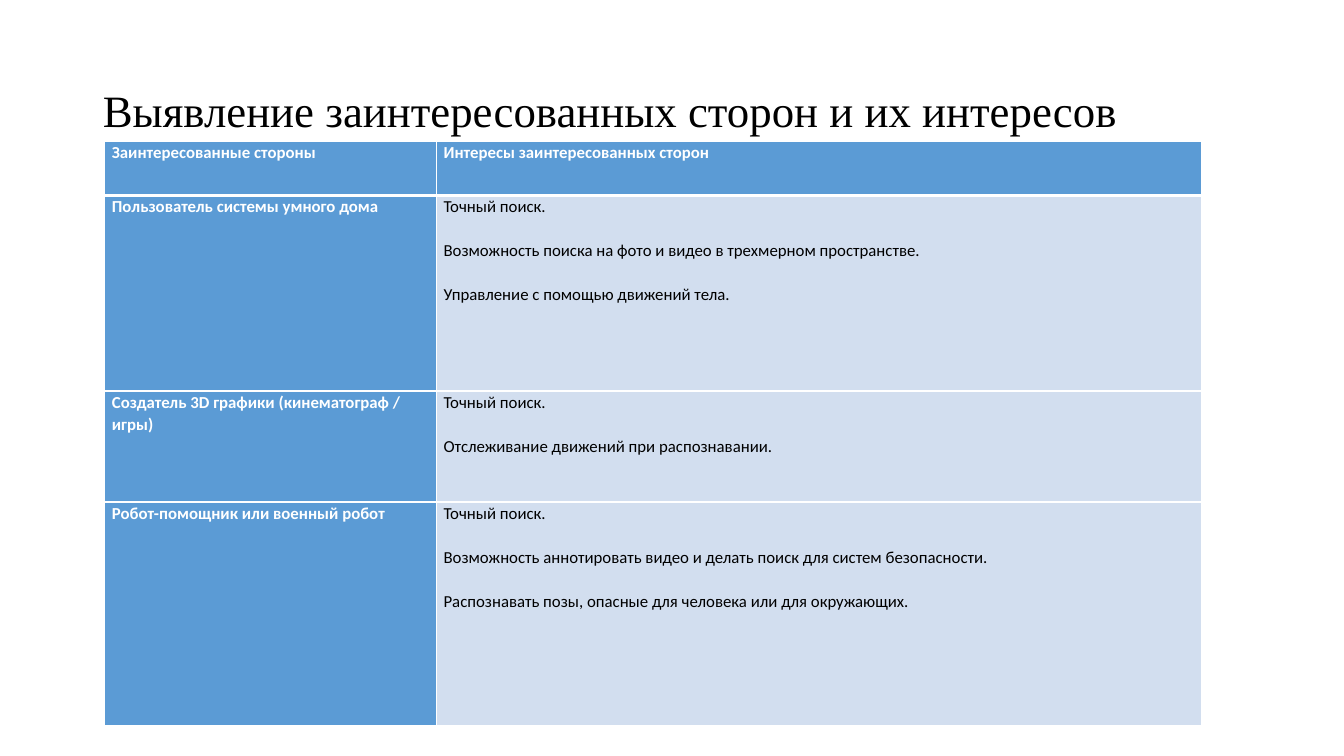
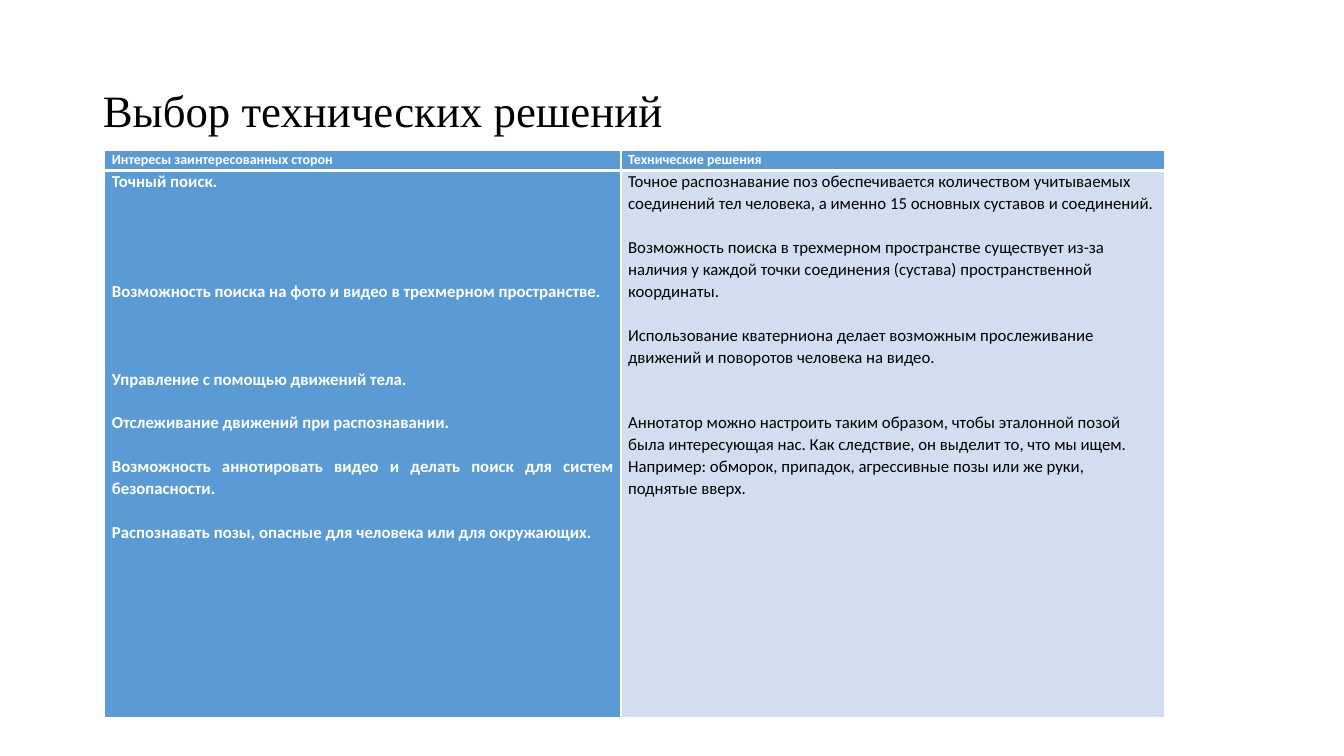
from dataclasses import dataclass

from lxml.etree import SubElement
from pptx import Presentation
from pptx.dml.color import RGBColor
from pptx.enum.text import MSO_ANCHOR, MSO_AUTO_SIZE, PP_ALIGN
from pptx.oxml.ns import qn
from pptx.util import Inches, Pt


@dataclass(frozen=True)
class Theme:
    """Colours, fonts and sizes shared by the slides."""
    blue: str = "5B9BD5"
    pale: str = "D2DEEF"
    white: str = "FFFFFF"
    black: str = "000000"
    serif: str = "Times New Roman"
    sans: str = "Calibri"
    title: int = 32
    text: int = 12
    small: int = 10
    pitch: float = 15.67
    thin: int = 1
    thick: int = 3


@dataclass(frozen=True)
class Line:
    """A paragraph with the number of line heights left above it."""
    text: str
    gap: int = 1
    align: PP_ALIGN = PP_ALIGN.LEFT


THEME = Theme()
EXACT = "Точный поиск."
SPACE = "Возможность поиска на фото и видео в трехмерном пространстве."
MOVES = "Управление с помощью движений тела."
TRACK = "Отслеживание движений при распознавании."
NOTES = "Возможность аннотировать видео и делать поиск для систем безопасности."
POSES = "Распознавать позы, опасные для человека или для окружающих."
NEEDS = "Интересы заинтересованных сторон"

PARTIES = [
    [[Line("Заинтересованные стороны", 0)], [Line(NEEDS, 0)]],
    [[Line("Пользователь системы умного дома", 0)],
     [Line(EXACT, 0), Line(SPACE), Line(MOVES)]],
    [[Line("Создатель 3D графики (кинематограф / игры)", 0)],
     [Line(EXACT, 0), Line(TRACK)]],
    [[Line("Робот-помощник или военный робот", 0)],
     [Line(EXACT, 0), Line(NOTES), Line(POSES)]],
]
CHOICES = [
    [[Line(NEEDS, 0)], [Line("Технические решения", 0)]],
    [[Line(EXACT, 0), Line(SPACE, 4), Line(MOVES, 3), Line(TRACK),
      Line(NOTES, 1, PP_ALIGN.JUSTIFY), Line(POSES)],
     [Line("Точное распознавание поз обеспечивается количеством учитываемых "
           "соединений тел человека, а именно 15 основных суставов и соединений.", 0),
      Line("Возможность поиска в трехмерном пространстве существует из-за наличия "
           "у каждой точки соединения (сустава) пространственной координаты."),
      Line("Использование кватерниона делает возможным прослеживание движений "
           "и поворотов человека на видео."),
      Line("Аннотатор можно настроить таким образом, чтобы эталонной позой была "
           "интересующая нас. Как следствие, он выделит то, что мы ищем. Например: "
           "обморок, припадок, агрессивные позы или же руки, поднятые вверх.", 2)]],
]


def add_run(para, text, face, size, color, bold=False):
    """Add one formatted run to a paragraph."""
    run = para.add_run()
    run.text = text
    font = run.font
    font.name, font.size, font.bold = face, Pt(size), bold
    font.color.rgb = RGBColor.from_string(color)


def add_slide(deck, title):
    """Add a slide with its title placed and formatted."""
    slide = deck.slides.add_slide(deck.slide_layouts[5])
    box = slide.shapes.title
    box.left, box.top = Inches(0.92), Inches(0.4)
    box.width, box.height = Inches(11.5), Inches(1.45)
    frame = box.text_frame
    frame.auto_size = MSO_AUTO_SIZE.NONE
    frame.vertical_anchor = MSO_ANCHOR.MIDDLE
    para = frame.paragraphs[0]
    para.alignment, para.line_spacing = PP_ALIGN.LEFT, 0.9
    add_run(para, title, THEME.serif, THEME.title, THEME.black)
    return slide


def set_edges(cell, top, bottom):
    """Draw the white borders of a cell."""
    props = cell._tc.get_or_add_tcPr()
    widths = {"L": THEME.thin, "R": THEME.thin, "T": top, "B": bottom}
    for side, width in widths.items():
        edge = SubElement(props, qn(f"a:ln{side}"), w=str(Pt(width)))
        fill = SubElement(edge, qn("a:solidFill"))
        SubElement(fill, qn("a:srgbClr"), val=THEME.white)


def fill_cell(cell, lines, size, strong):
    """Colour a cell and write its lines."""
    cell.fill.solid()
    cell.fill.fore_color.rgb = RGBColor.from_string(THEME.blue if strong else THEME.pale)
    cell.margin_left = cell.margin_right = Inches(0.07)
    cell.margin_top = cell.margin_bottom = 0
    frame = cell.text_frame
    for index, line in enumerate(lines):
        para = frame.add_paragraph() if index else frame.paragraphs[0]
        para.alignment, para.line_spacing = line.align, 1.07
        para.space_before = Pt(line.gap * THEME.pitch)
        color = THEME.white if strong else THEME.black
        add_run(para, line.text, THEME.sans, size, color, strong)


def add_grid(slide, top, widths, heights, rows, head):
    """Add a table with a strong first row and first column."""
    grid = slide.shapes.add_table(
        len(heights), len(widths), Inches(1.04), Inches(top),
        Inches(sum(widths)), Inches(sum(heights))).table
    grid.horz_banding = False
    grid.first_col = True
    for col, width in zip(grid.columns, widths):
        col.width = Inches(width)
    for r, (height, row) in enumerate(zip(heights, rows)):
        grid.rows[r].height = Inches(height)
        for c, lines in enumerate(row):
            cell = grid.cell(r, c)
            set_edges(cell, THEME.thick if r == 1 else THEME.thin,
                      THEME.thick if r == 0 else THEME.thin)
            fill_cell(cell, lines, THEME.text if r else head, r == 0 or c == 0)


def main():
    """Build and save the deck."""
    deck = Presentation()
    deck.slide_width, deck.slide_height = Inches(13.33), Inches(7.5)
    slide = add_slide(deck, "Выявление заинтересованных сторон и их интересов")
    add_grid(slide, 1.4, [3.29, 7.59], [0.54, 1.94, 1.1, 2.22], PARTIES, THEME.text)
    slide = add_slide(deck, "Выбор технических решений")
    add_grid(slide, 1.49, [5.12, 5.39], [0.2, 5.43], CHOICES, THEME.small)
    deck.save("out.pptx")


if __name__ == "__main__":
    main()
